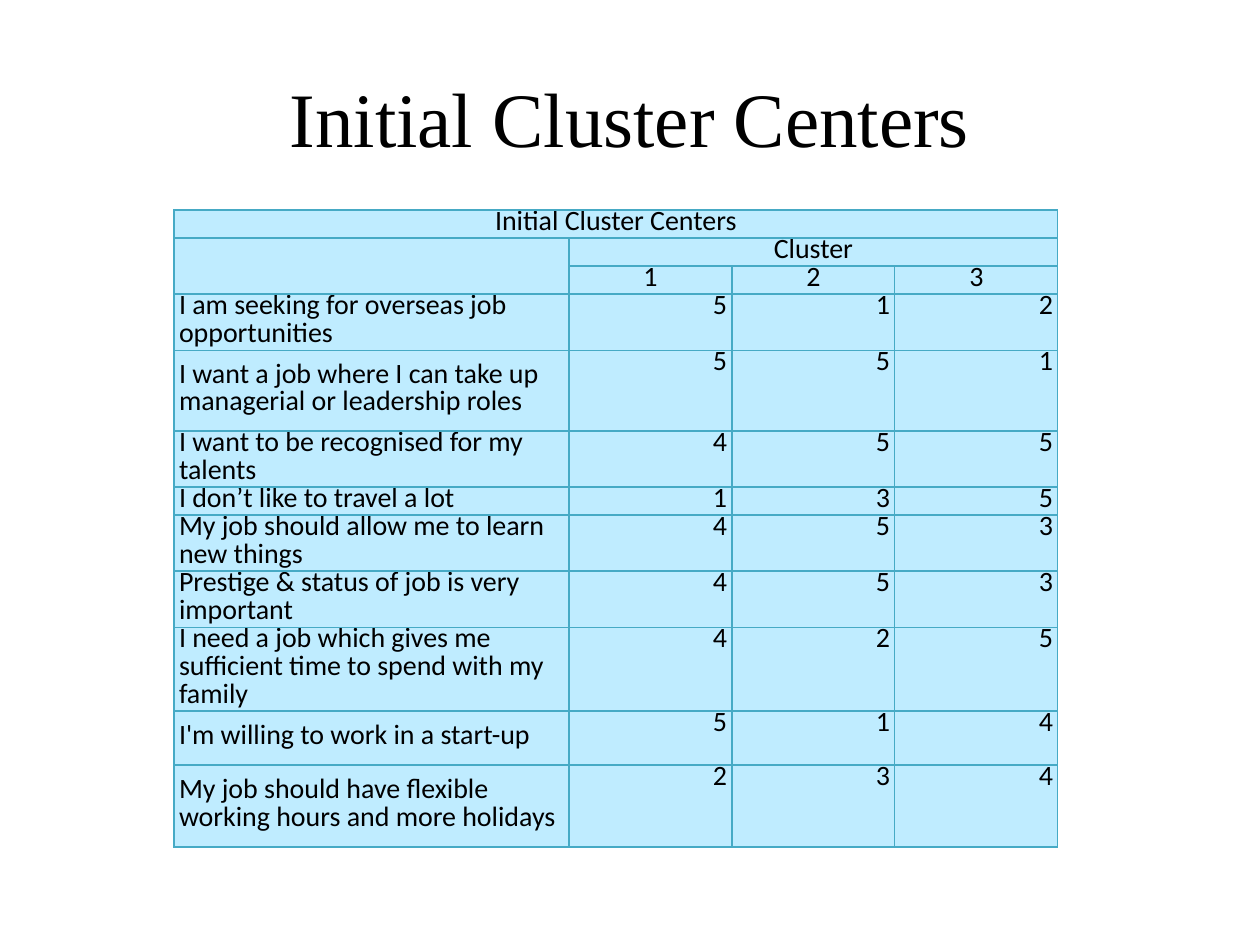
"""Build the Initial Cluster Centers slide."""
import dataclasses

import lxml.etree
import pptx
import pptx.dml.color
import pptx.enum.text
import pptx.oxml.ns
import pptx.util

PX = 914400 // 126
INK, CELL_FILL, BORDER = "000000", "BFECFF", "46AAC5"
ALIGN = pptx.enum.text.PP_ALIGN
ANCHOR = pptx.enum.text.MSO_ANCHOR
COLUMN_WIDTHS = (395, 163, 163, 163)
HEADER_HEIGHT = 28


@dataclasses.dataclass(frozen=True)
class Statement:
    """A survey statement with its centre in each cluster."""

    wording: str
    centers: tuple[int, int, int]
    height: int


STATEMENTS = (
    Statement("I am seeking for overseas job opportunities", (5, 1, 2), 56),
    Statement("I want a job where I can take up managerial or leadership roles", (5, 5, 1), 81),
    Statement("I want to be recognised for my talents", (4, 5, 5), 56),
    Statement("I don’t like to travel a lot", (1, 3, 5), 28),
    Statement("My job should allow me to learn new things", (4, 5, 3), 56),
    Statement("Prestige & status of job is very important", (4, 5, 3), 56),
    Statement("I need a job which gives me sufficient time to spend with my family", (4, 2, 5), 84),
    Statement("I'm willing to work in a start-up", (5, 1, 4), 54),
    Statement("My job should have flexible working hours and more holidays", (2, 3, 4), 82),
)


def px(length: int) -> pptx.util.Emu:
    """Turn pixels into EMU."""
    return pptx.util.Emu(length * PX)


def color(value: str) -> pptx.dml.color.RGBColor:
    """Turn a hex string into a colour."""
    return pptx.dml.color.RGBColor.from_string(value)


def write(paragraph, wording: str, font: str, size: int, align) -> None:
    """Add one aligned run to a paragraph."""
    paragraph.alignment = align
    run = paragraph.add_run()
    run.text = wording
    run.font.name = font
    run.font.size = pptx.util.Pt(size)
    run.font.color.rgb = color(INK)


def style_cell(cell) -> None:
    """Give a cell its fill, borders, margins and line spacing."""
    cell.margin_left = cell.margin_right = cell.margin_top = cell.margin_bottom = 0
    cell.fill.solid()
    cell.fill.fore_color.rgb = color(CELL_FILL)
    qn = pptx.oxml.ns.qn
    properties = cell._tc.get_or_add_tcPr()
    for position, side in enumerate(("lnL", "lnR", "lnT", "lnB")):
        line = lxml.etree.Element(qn(f"a:{side}"), w=str(pptx.util.Pt(0.75)))
        fill = lxml.etree.SubElement(line, qn("a:solidFill"))
        lxml.etree.SubElement(fill, qn("a:srgbClr"), val=BORDER)
        properties.insert(position, line)
    paragraph = cell.text_frame.paragraphs[0]
    paragraph.line_spacing = pptx.util.Pt(16)
    indents = paragraph._p.get_or_add_pPr()
    for name, length in (("marL", px(5)), ("marR", px(5)), ("indent", 0)):
        indents.set(name, str(length))


def write_cell(cell, wording: str, align, anchor=ANCHOR.TOP) -> None:
    """Write a table entry."""
    cell.vertical_anchor = anchor
    write(cell.text_frame.paragraphs[0], wording, "Calibri", 16, align)


def add_title(slide, wording: str) -> None:
    """Add the slide title."""
    title = slide.shapes.add_textbox(px(63), px(38), px(1134), px(157))
    title.text_frame.word_wrap = True
    title.text_frame.vertical_anchor = ANCHOR.MIDDLE
    write(title.text_frame.paragraphs[0], wording, "Times New Roman", 44, ALIGN.CENTER)


def add_centers(slide, statements: tuple[Statement, ...]) -> None:
    """Add the table of cluster centres."""
    heights = [HEADER_HEIGHT] * 3 + [statement.height for statement in statements]
    centers = slide.shapes.add_table(
        len(heights), len(COLUMN_WIDTHS), px(174), px(210), px(sum(COLUMN_WIDTHS)), px(sum(heights))
    ).table
    centers.first_row = centers.horz_banding = False
    for column, width in zip(centers.columns, COLUMN_WIDTHS):
        column.width = px(width)
    for row, height in zip(centers.rows, heights):
        row.height = px(height)
    for cell in centers.iter_cells():
        style_cell(cell)
    centers.cell(0, 0).merge(centers.cell(0, 3))
    centers.cell(1, 0).merge(centers.cell(2, 0))
    centers.cell(1, 1).merge(centers.cell(1, 3))
    write_cell(centers.cell(0, 0), "Initial Cluster Centers", ALIGN.CENTER)
    write_cell(centers.cell(1, 1), "Cluster", ALIGN.CENTER)
    for cluster in range(1, 4):
        write_cell(centers.cell(2, cluster), str(cluster), ALIGN.CENTER)
    for row, statement in enumerate(statements, 3):
        write_cell(centers.cell(row, 0), statement.wording, ALIGN.LEFT, ANCHOR.MIDDLE)
        for cluster, center in enumerate(statement.centers, 1):
            write_cell(centers.cell(row, cluster), str(center), ALIGN.RIGHT)


def main() -> None:
    """Build and save the presentation."""
    presentation = pptx.Presentation()
    presentation.slide_width, presentation.slide_height = px(1260), px(945)
    slide = presentation.slides.add_slide(presentation.slide_layouts[6])
    add_title(slide, "Initial Cluster Centers")
    add_centers(slide, STATEMENTS)
    presentation.save("out.pptx")


if __name__ == "__main__":
    main()
